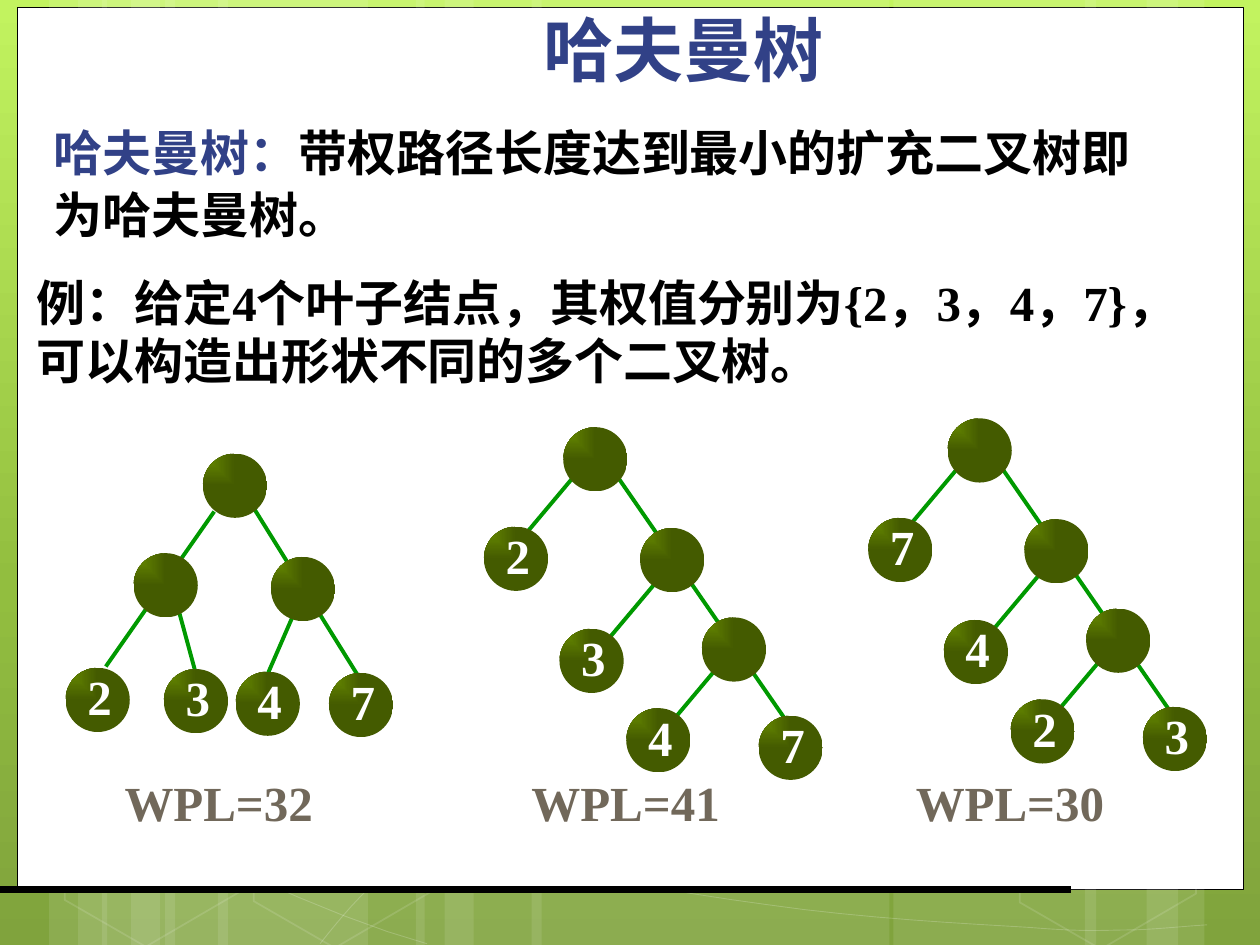
from pptx import Presentation
from pptx.dml.color import RGBColor
from pptx.enum.shapes import MSO_CONNECTOR, MSO_SHAPE
from pptx.enum.text import MSO_ANCHOR, PP_ALIGN
from pptx.oxml import parse_xml
from pptx.oxml.ns import nsdecls, qn
from pptx.util import Inches, Pt

THEME = {
    "font": "Times New Roman", "title": 40, "body": 28,
    "ink": "000000", "blue": "314187", "taupe": "71685A", "white": "FFFFFF",
    "edge": "009900", "ball": [(0, "6A8E00"), (100, "445B00")],
    "sky": [(0, "C2F35F"), (62, "92BE3F"), (100, "80A33D")],
}

TITLE = [("哈夫曼树", "blue")]
RULE = [("哈夫曼树：", "blue"), ("带权路径长度达到最小的扩充二叉树即为哈夫曼树。", "ink")]
CASE = [("例：给定4个叶子结点，其权值分别为{2，3，4，7}，可以构造出形状不同的多个二叉树。", "ink")]

FULL = {
    "edges": [(1.95, 3.93, 2.84, 5.36), (2.35, 4.83, 2.12, 5.36),
              (1.39, 4.74, 1.55, 5.33), (1.7, 4.06, 0.84, 5.29)],
    "inner": [(1.61, 3.6), (1.06, 4.39), (2.15, 4.42)],
    "leaves": [(0.52, 5.3), (1.3, 5.31), (1.87, 5.33), (2.61, 5.34)],
}
CHAIN = {
    "edges": [(4.59, 3.74, 4.17, 4.24), (5.25, 4.57, 4.83, 5.07),
              (5.75, 5.23, 5.33, 5.73), (4.76, 3.58, 6.24, 5.72)],
    "inner": [(4.47, 3.39), (5.08, 4.19), (5.57, 4.9)],
    "leaves": [(3.84, 4.18), (4.44, 4.99), (4.97, 5.62), (6.02, 5.68)],
}
TREES = [
    (FULL, (0, 0), "2347", "WPL=32", 0.89),
    (CHAIN, (0, 0), "2347", "WPL=41", 4.12),
    (CHAIN, (3.05, -0.07), "7423", "WPL=30", 7.17),
]

BANDS = [(1.31, 1.61), (0.39, 0.46), (0.62, 0.77), (1.73, 1.64), (0.81, 0.46),
         (1.04, 0.77), (7.09, 1.61), (9.1, 0.46), (8.61, 0.74), (4.22, 2.84),
         (3.3, 0.46), (3.53, 0.77)]
HEXES = [(0.41, 5.91), (1.91, 5.92), (7.99, 5.93)]
CURVES = [
    [(0.36, 6.17), (1.47, 6.72), (2.58, 7.27), (3.39, 7.49)],
    [(0.37, 5.78), (0.66, 5.89), (0.95, 6), (1.49, 6.16), (2.02, 6.31),
     (2.82, 6.56), (3.59, 6.73), (4.36, 6.9), (5.33, 7.08), (6.09, 7.18),
     (6.85, 7.29), (7.67, 7.33), (8.16, 7.36), (8.64, 7.4), (8.77, 7.38),
     (9.01, 7.38), (9.24, 7.37), (9.41, 7.35), (9.58, 7.34)],
    [(2.54, 7.49), (2.7, 7.29), (2.86, 7.09), (3.09, 6.91), (3.31, 6.72),
     (3.62, 6.53), (3.88, 6.39), (4.13, 6.25), (4.29, 6.19), (4.63, 6.09),
     (4.97, 5.99), (5.59, 5.85), (5.91, 5.78), (6.23, 5.71), (6.28, 5.71),
     (6.57, 5.69), (6.85, 5.66), (7.3, 5.63), (7.62, 5.62)],
]


def style(item, vals):
    for key, val in vals.items():
        setattr(item, key, val)


def tint(fill, color, alpha=100):
    fill.solid()
    fill.fore_color.rgb = RGBColor.from_string(color)
    if alpha < 100:
        node = fill._xPr.find(qn("a:solidFill"))[0]
        node.append(parse_xml(f'<a:alpha {nsdecls("a")} val="{alpha * 1000}"/>'))


def blend(fill, stops, kind):
    fill.solid()
    marks = "".join(f'<a:gs pos="{pos * 1000}"><a:srgbClr val="{color}"/></a:gs>'
                    for pos, color in stops)
    old = fill._xPr.find(qn("a:solidFill"))
    new = parse_xml(f'<a:gradFill {nsdecls("a")} rotWithShape="1">'
                    f'<a:gsLst>{marks}</a:gsLst>{kind}</a:gradFill>')
    old.getparent().replace(old, new)


def trace(line, color, width, alpha=100):
    line.width = Pt(width)
    tint(line.fill, color, alpha)


def form(slide, kind, *box):
    shape = slide.shapes.add_shape(kind, *map(Inches, box))
    shape.shadow.inherit = False
    shape.line.fill.background()
    return shape


def link(slide, ends, color, width):
    wire = slide.shapes.add_connector(MSO_CONNECTOR.STRAIGHT, *map(Inches, ends))
    trace(wire.line, color, width)
    wire._element.spPr.append(parse_xml(f'<a:effectLst {nsdecls("a")}/>'))


def write(slide, box, runs, size="body", frame=None, para=None):
    text = slide.shapes.add_textbox(*map(Inches, box)).text_frame
    style(text, {"word_wrap": True, **(frame or {})})
    line = text.paragraphs[0]
    style(line, para or {})
    for words, color in runs:
        run = line.add_run()
        run.text = words
        style(run.font, {"name": THEME["font"], "size": Pt(THEME[size]), "bold": True})
        run.font.color.rgb = RGBColor.from_string(THEME[color])


def bend(pts, steps=8):
    """Sample a chain of cubic curves."""
    out = [pts[0]]
    for i in range(0, len(pts) - 1, 3):
        for k in range(1, steps + 1):
            t = k / steps
            mix = ((1 - t) ** 3, 3 * t * (1 - t) ** 2, 3 * t * t * (1 - t), t ** 3)
            out.append(tuple(sum(m * p[n] for m, p in zip(mix, pts[i:i + 4]))
                             for n in (0, 1)))
    return [(Inches(x), Inches(y)) for x, y in out]


def scene(slide):
    white = THEME["white"]
    blend(slide.background.fill, THEME["sky"], '<a:lin ang="5400000" scaled="0"/>')
    page = form(slide, MSO_SHAPE.RECTANGLE, 0.14, 0.06, 9.73, 7)
    tint(page.fill, white)
    trace(page.line, THEME["ink"], 0.5)
    for left, width in BANDS:
        tint(form(slide, MSO_SHAPE.RECTANGLE, left, 0, width, 7.5).fill, white, 10)
    for pts in CURVES:
        first, *rest = bend(pts)
        pen = slide.shapes.build_freeform(*first)
        pen.add_line_segments(rest, close=False)
        curve = pen.convert_to_shape()
        curve.shadow.inherit = False
        curve.fill.background()
        trace(curve.line, white, 0.5, 20)
    for left, top in HEXES:
        cell = form(slide, MSO_SHAPE.HEXAGON, left, top, 1.61, 1.52)
        cell.rotation = 30
        cell.adjustments[0] = 0.285
        cell.fill.background()
        trace(cell.line, white, 1, 12)
    link(slide, (0, 7.06, 8.5, 7.06), THEME["ink"], 4.5)


def plant(slide, tree, shift, keys):
    dx, dy = shift
    for x, y, u, v in tree["edges"]:
        link(slide, (x + dx, y + dy, u + dx, v + dy), THEME["edge"], 2.25)
    names = [""] * len(tree["inner"]) + list(keys)
    for (x, y), name in zip(tree["inner"] + tree["leaves"], names):
        ball = form(slide, MSO_SHAPE.OVAL, x + dx, y + dy, 0.51, 0.51)
        blend(ball.fill, THEME["ball"],
              '<a:path path="rect"><a:fillToRect r="100000" b="100000"/></a:path>')
        if name:
            write(slide, (x + dx + 0.07, y + dy - 0.06, 0.4, 0.57), [(name, "white")],
                  frame={"word_wrap": False, "vertical_anchor": MSO_ANCHOR.MIDDLE},
                  para={"alignment": PP_ALIGN.CENTER})


def main():
    deck = Presentation()
    style(deck, {"slide_width": Inches(10), "slide_height": Inches(7.5)})
    slide = deck.slides.add_slide(deck.slide_layouts[6])
    scene(slide)
    write(slide, (0.29, 2.11, 9.25, 1.03), CASE,
          frame={"margin_left": 0, "margin_right": 0})
    write(slide, (1.57, 0, 7.71, 0.77), TITLE, "title",
          para={"alignment": PP_ALIGN.CENTER})
    for tree, shift, keys, total, left in TREES:
        plant(slide, tree, shift, keys)
        write(slide, (left, 6.08, 1.7, 0.57), [(total, "taupe")])
    write(slide, (0.33, 0.9, 9.1, 1.09), RULE, para={"line_spacing": 1.05})
    deck.save("out.pptx")


if __name__ == "__main__":
    main()
